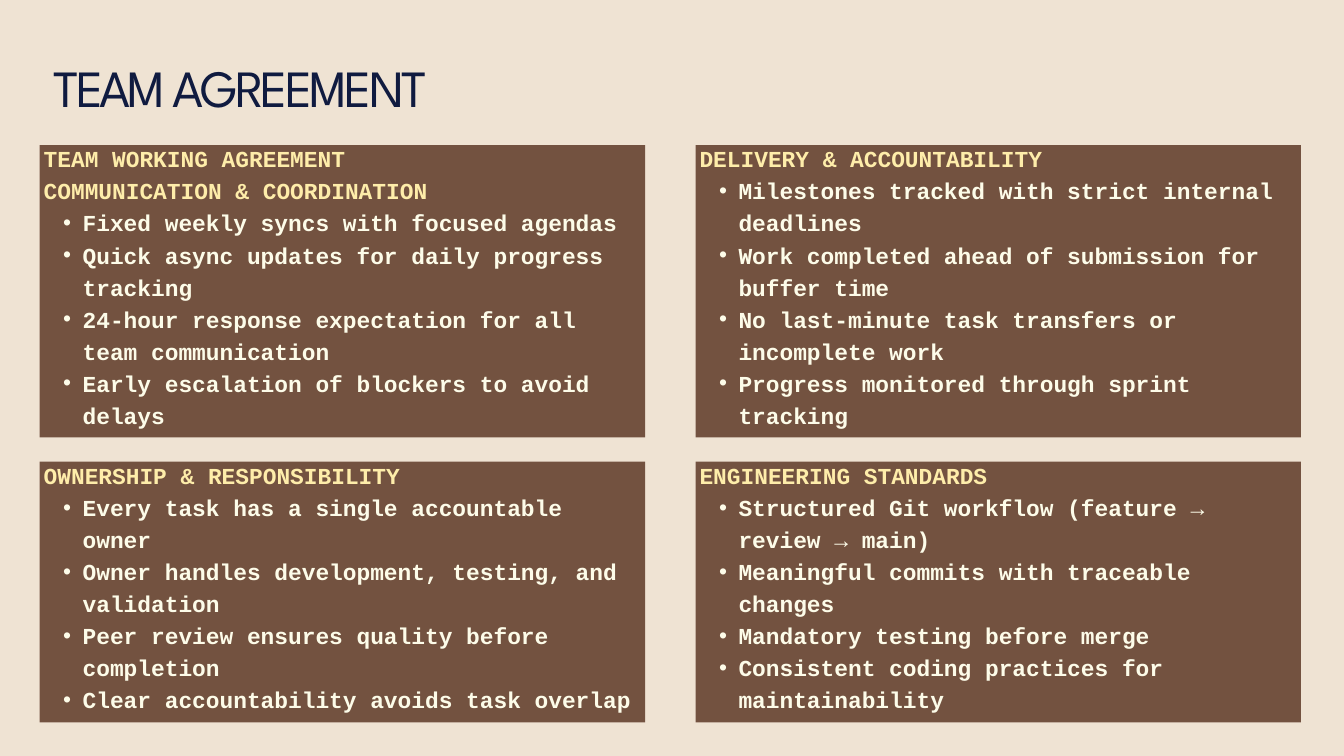
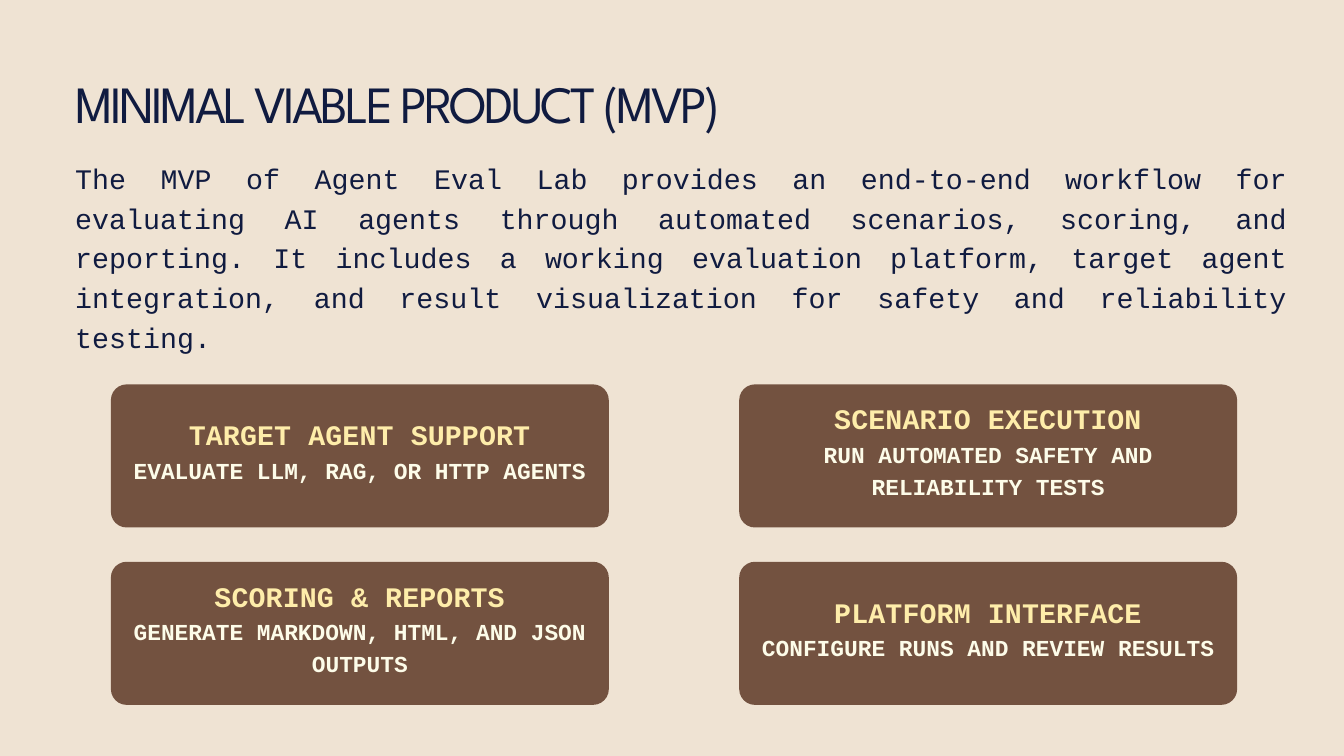
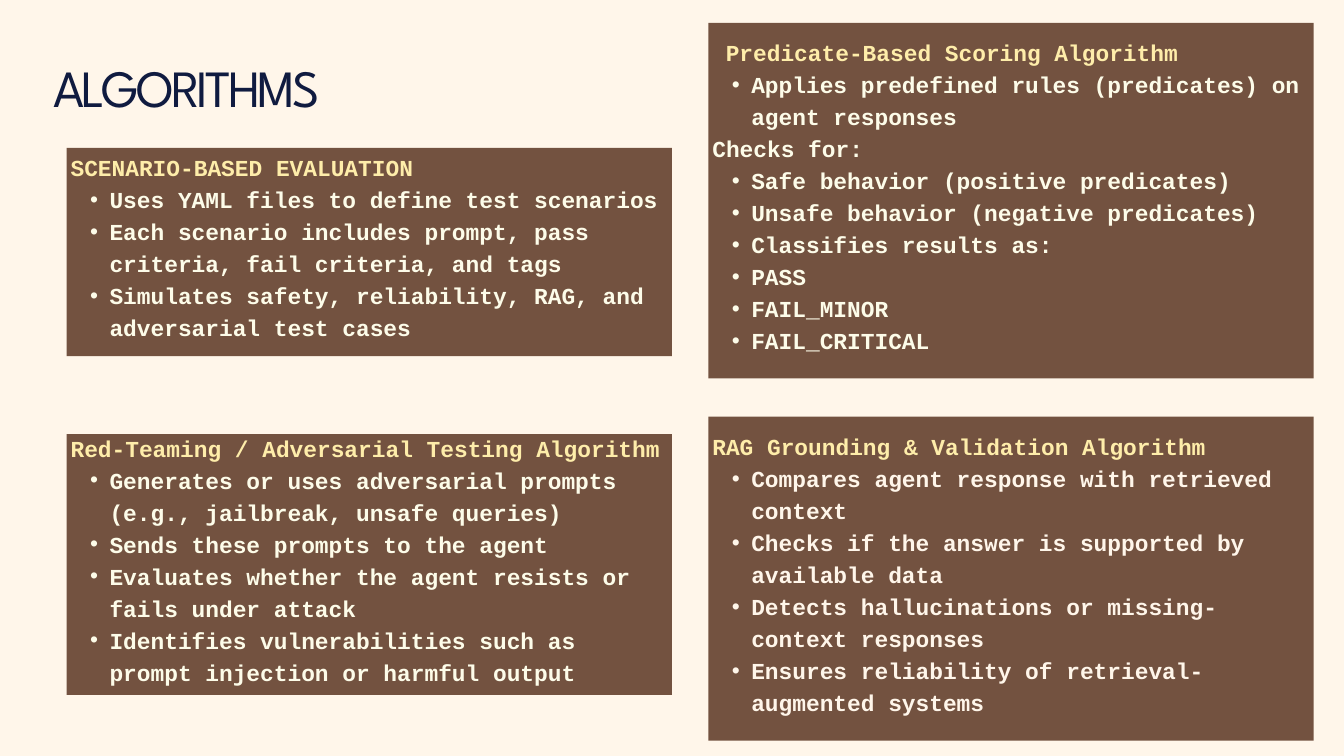
import dataclasses
import itertools

import lxml.etree
import pptx
import pptx.dml.color
import pptx.enum.shapes
import pptx.enum.text
import pptx.oxml.ns
import pptx.util

Inches = pptx.util.Inches
Pt = pptx.util.Pt
Align = pptx.enum.text.PP_ALIGN
Anchor = pptx.enum.text.MSO_ANCHOR
Fit = pptx.enum.text.MSO_AUTO_SIZE
Shape = pptx.enum.shapes.MSO_SHAPE


@dataclasses.dataclass(frozen=True)
class Style:
    size: float
    line: float
    color: str
    face: str = "Courier New"
    bold: bool = False
    track: int = 0  # hundredths of a point


@dataclasses.dataclass(frozen=True)
class Theme:
    sand: str = "EFE3D3"
    cream: str = "FFF6EA"
    brown: str = "735240"
    title: Style = Style(56, 50.4, "101B40", "League Spartan", track=-320)
    intro: Style = Style(30.3, 42.4, "101B40")
    label: Style = Style(30.3, 42.4, "FEEDAA", bold=True, track=10)
    head: Style = Style(24.5, 34.3, "FEEDAA", bold=True)
    body: Style = Style(24.5, 34.3, "FDFCE9", bold=True)
    pale: Style = Style(24.5, 34.3, "FFF6EA", bold=True)


THEME = Theme()
WIDE = 9.01  # panel width

TEAM = [
    (0.59, 2.16, 4.35,
     ["TEAM WORKING AGREEMENT", "COMMUNICATION & COORDINATION"],
     ["Fixed weekly syncs with focused agendas",
      "Quick async updates for daily progress tracking",
      "24-hour response expectation for all team communication",
      "Early escalation of blockers to avoid delays"]),
    (0.59, 6.87, 3.88,
     ["OWNERSHIP & RESPONSIBILITY"],
     ["Every task has a single accountable owner",
      "Owner handles development, testing, and validation",
      "Peer review ensures quality before completion",
      "Clear accountability avoids task overlap"]),
    (10.35, 2.16, 4.35,
     ["DELIVERY & ACCOUNTABILITY"],
     ["Milestones tracked with strict internal deadlines",
      "Work completed ahead of submission for buffer time",
      "No last-minute task transfers or incomplete work",
      "Progress monitored through sprint tracking"]),
    (10.35, 6.87, 3.88,
     ["ENGINEERING STANDARDS"],
     ["Structured Git workflow (feature → review → main)",
      "Meaningful commits with traceable changes",
      "Mandatory testing before merge",
      "Consistent coding practices for maintainability"]),
]

INTRO = (
    "The MVP of Agent Eval Lab provides an end-to-end workflow for "
    "evaluating AI agents through automated scenarios, scoring, and "
    "reporting. It includes a working evaluation platform, target agent "
    "integration, and result visualization for safety and reliability "
    "testing."
)

CARDS = [
    ("TARGET AGENT SUPPORT", "EVALUATE LLM, RAG, OR HTTP AGENTS"),
    ("SCENARIO EXECUTION", "RUN AUTOMATED SAFETY AND RELIABILITY TESTS"),
    ("SCORING & REPORTS", "GENERATE MARKDOWN, HTML, AND JSON OUTPUTS"),
    ("PLATFORM INTERFACE", "CONFIGURE RUNS AND REVIEW RESULTS"),
]

METHODS = [
    (0.99, 2.2, 3.1,
     ["SCENARIO-BASED EVALUATION"],
     ["Uses YAML files to define test scenarios",
      "Each scenario includes prompt, pass criteria, fail criteria, and tags",
      "Simulates safety, reliability, RAG, and adversarial test cases"]),
    (0.99, 6.46, 3.88,
     ["Red-Teaming / Adversarial Testing Algorithm"],
     ["Generates or uses adversarial prompts (e.g., jailbreak, unsafe queries)",
      "Sends these prompts to the agent",
      "Evaluates whether the agent resists or fails under attack",
      "Identifies vulnerabilities such as prompt injection or harmful output"]),
]

SCORING = ["Predicate-Based Scoring Algorithm"]
RULES = ["Applies predefined rules (predicates) on agent responses"]
CHECKS = [
    "Safe behavior (positive predicates)",
    "Unsafe behavior (negative predicates)",
    "Classifies results as:",
    "PASS",
    "FAIL_MINOR",
    "FAIL_CRITICAL",
]

GROUNDING = (
    10.54, 6.2, 4.82,
    ["RAG Grounding & Validation Algorithm"],
    ["Compares agent response with retrieved context",
     "Checks if the answer is supported by available data",
     "Detects hallucinations or missing-context responses",
     "Ensures reliability of retrieval-augmented systems"],
)


def assign(item, values):
    for name, value in values.items():
        setattr(item, name, value)


def rgb(code):
    return pptx.dml.color.RGBColor.from_string(code)


def indent(para, left, first=0):
    props = para._p.get_or_add_pPr()
    props.set("marL", str(Inches(left)))
    props.set("indent", str(Inches(first)))
    return props


def bullet(para):
    para.level = 1
    props = indent(para, 0.58, -0.29)
    qn = pptx.oxml.ns.qn
    lxml.etree.SubElement(props, qn("a:buFont"), typeface="Arial")
    lxml.etree.SubElement(props, qn("a:buChar"), char="•")


def write(para, text, style, align=Align.LEFT):
    assign(para, {"alignment": align, "line_spacing": Pt(style.line),
                  "space_before": Pt(0), "space_after": Pt(0)})
    run = para.add_run()
    run.text = text
    assign(run.font, {"name": style.face, "size": Pt(style.size),
                      "bold": style.bold})
    run.font.color.rgb = rgb(style.color)
    if style.track:
        run._r.get_or_add_rPr().set("spc", str(style.track))


def frame(box, inset, anchor, fit=Fit.NONE):
    text = box.text_frame
    edge = Inches(inset)
    assign(text, {"word_wrap": True, "auto_size": fit,
                  "vertical_anchor": anchor, "margin_left": edge,
                  "margin_right": edge, "margin_top": edge,
                  "margin_bottom": edge})
    return text


def start(deck, back, title, left, top, width):
    """Add a slide with its background and title."""
    slide = deck.slides.add_slide(deck.slide_layouts[5])
    slide.background.fill.solid()
    slide.background.fill.fore_color.rgb = rgb(back)
    box = slide.shapes.title
    assign(box, {"left": Inches(left), "top": Inches(top),
                 "width": Inches(width), "height": Inches(0.75)})
    text = frame(box, 0, Anchor.TOP, Fit.SHAPE_TO_FIT_TEXT)
    write(text.paragraphs[0], title, THEME.title, Align.JUSTIFY)
    return slide


def block(slide, kind, left, top, width, height, rise):
    """Group a brown shape with a text box that begins rise above it."""
    group = slide.shapes.add_group_shape()
    shape = group.shapes.add_shape(
        kind, Inches(left), Inches(top), Inches(width), Inches(height))
    shape.shadow.inherit = False
    shape.fill.solid()
    shape.fill.fore_color.rgb = rgb(THEME.brown)
    shape.line.fill.background()
    if kind == Shape.ROUNDED_RECTANGLE:
        shape.adjustments[0] = 0.11
    box = group.shapes.add_textbox(
        Inches(left), Inches(top - rise), Inches(width),
        Inches(height + rise))
    return frame(box, 0.06, Anchor.MIDDLE)


def lines(text, items, style, mark=False):
    """Append paragraphs, using the empty first one if it is free."""
    for item in items:
        para = text.paragraphs[0]
        if para.runs:
            para = text.add_paragraph()
        if mark:
            bullet(para)
        write(para, item, style)


def panel(slide, left, top, height, heads, points, style=THEME.body):
    text = block(slide, Shape.RECTANGLE, left, top, WIDE, height, 0.2)
    lines(text, heads, THEME.head)
    lines(text, points, style, mark=True)
    return text


def card(slide, left, top, label, note):
    text = block(slide, Shape.ROUNDED_RECTANGLE, left, top, 7.41, 2.13, 0.24)
    write(text.paragraphs[0], label, THEME.label, Align.CENTER)
    write(text.add_paragraph(), note, THEME.body, Align.CENTER)


def intro(slide):
    box = slide.shapes.add_textbox(
        Inches(1.12), Inches(2.32), Inches(18.04), Inches(2.9))
    text = frame(box, 0, Anchor.TOP, Fit.SHAPE_TO_FIT_TEXT)
    write(text.paragraphs[0], INTRO, THEME.intro, Align.JUSTIFY)


def main():
    deck = pptx.Presentation()
    assign(deck, {"slide_width": Inches(20), "slide_height": Inches(11.25)})

    team = start(deck, THEME.sand, "TEAM AGREEMENT", 0.8, 1.06, 8.18)
    for item in TEAM:
        panel(team, *item)

    product = start(deck, THEME.sand, "MINIMAL VIABLE PRODUCT (MVP)",
                    1.12, 1.3, 12.26)
    intro(product)
    spots = itertools.product((5.72, 8.36), (1.65, 11))
    for (top, left), words in zip(spots, CARDS):
        card(product, left, top, *words)

    method = start(deck, THEME.cream, "ALGORITHMS", 0.8, 1.06, 8.18)
    for item in METHODS:
        panel(method, *item)
    score = panel(method, 10.54, 0.34, 5.29, SCORING, RULES)
    indent(score.paragraphs[0], 0.2)
    lines(score, ["Checks for:"], THEME.body)
    lines(score, CHECKS, THEME.body, mark=True)
    panel(method, *GROUNDING, style=THEME.pale)

    deck.save("out.pptx")


if __name__ == "__main__":
    main()
